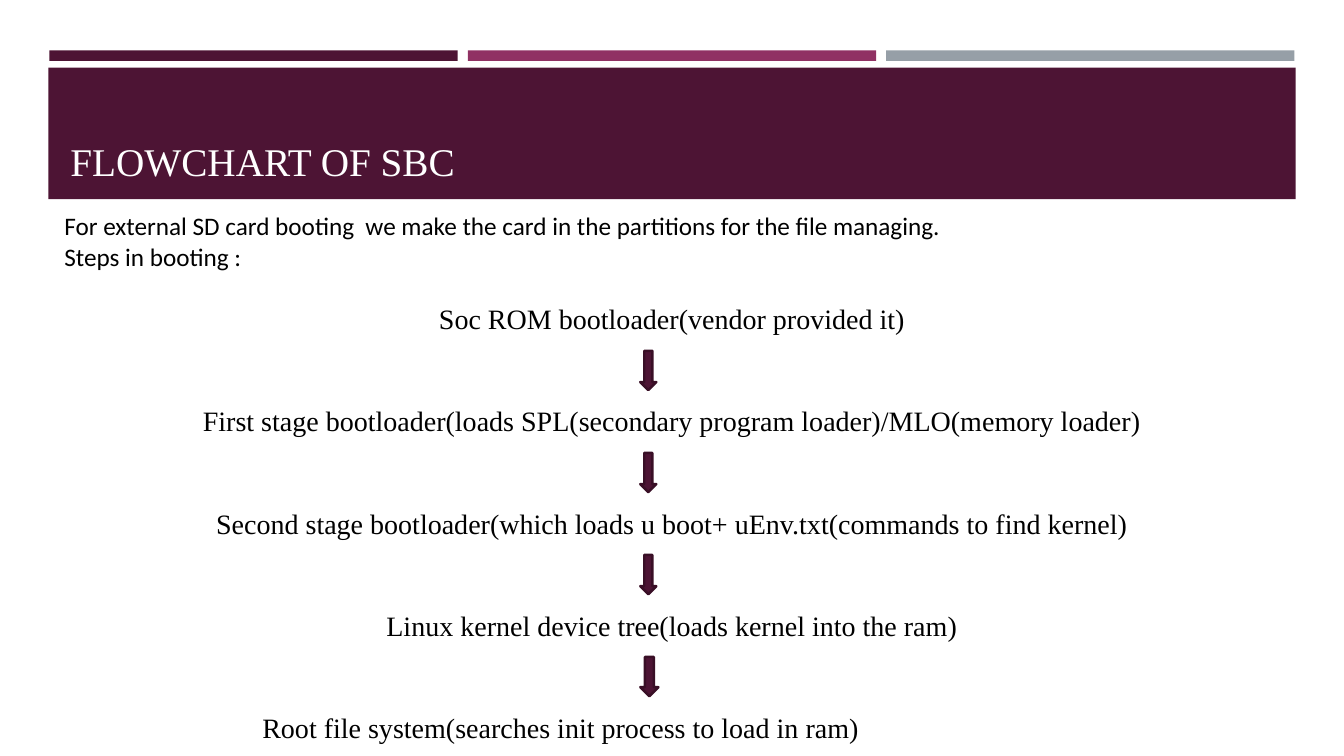
import dataclasses

import pptx
import pptx.dml.color
import pptx.enum.shapes
import pptx.enum.text
import pptx.util

WIDE = pptx.util.Inches(13.33)
HIGH = pptx.util.Inches(7.5)
SHAPE = pptx.enum.shapes.MSO_SHAPE
ALIGN = pptx.enum.text.PP_ALIGN
ANCHOR = pptx.enum.text.MSO_ANCHOR
HUES = {
    "plum": "4D1434",
    "berry": "903163",
    "slate": "969FA7",
    "edge": "390F26",
    "white": "FFFFFF",
    "black": "000000",
}
SERIF = "Times New Roman"
SANS = "Calibri"


@dataclasses.dataclass
class Box:
    left: float
    top: float
    width: float
    height: float

    def place(self) -> tuple[int, int, int, int]:
        return (
            round(WIDE * self.left / 100),
            round(HIGH * self.top / 100),
            round(WIDE * self.width / 100),
            round(HIGH * self.height / 100),
        )


@dataclasses.dataclass
class Line:
    text: str
    font: str
    size: float
    hue: str = "black"
    align: ALIGN = ALIGN.LEFT
    gap: float = 0
    indent: float = 0


def tint(name: str) -> pptx.dml.color.RGBColor:
    return pptx.dml.color.RGBColor.from_string(HUES[name])


def draw(slide, kind: SHAPE, box: Box, fill: str, edge: str = "") -> None:
    shape = slide.shapes.add_shape(kind, *box.place())
    shape.shadow.inherit = False
    shape.fill.solid()
    shape.fill.fore_color.rgb = tint(fill)
    if edge:
        shape.line.color.rgb = tint(edge)
        shape.line.width = pptx.util.Pt(1.75)
    else:
        shape.line.fill.background()


def write(slide, box: Box, lines: list[Line], anchor: ANCHOR) -> None:
    frame = slide.shapes.add_textbox(*box.place()).text_frame
    frame.word_wrap = True
    frame.vertical_anchor = anchor
    for spot, line in enumerate(lines):
        para = frame.add_paragraph() if spot else frame.paragraphs[0]
        para.alignment = line.align
        if line.gap:
            para.space_before = pptx.util.Pt(line.gap)
        if line.indent:
            props = para._p.get_or_add_pPr()
            props.set("marL", str(round(WIDE * line.indent / 100)))
            props.set("indent", "0")
        run = para.add_run()
        run.text = line.text
        run.font.name = line.font
        run.font.size = pptx.util.Pt(line.size)
        run.font.color.rgb = tint(line.hue)


def main() -> None:
    deck = pptx.Presentation()
    deck.slide_width = WIDE
    deck.slide_height = HIGH
    slide = deck.slides.add_slide(deck.slide_layouts[6])

    for col, hue in enumerate(("plum", "berry", "slate")):
        draw(slide, SHAPE.RECTANGLE, Box(3.68 + 31.13 * col, 6.67, 30.38, 1.4), hue)
    draw(slide, SHAPE.RECTANGLE, Box(3.6, 8.93, 92.8, 17.4), "plum")

    title = Line("FLOWCHART OF SBC", SERIF, 28, "white")
    write(slide, Box(4.5, 17.47, 90.7, 7.6), [title], ANCHOR.BOTTOM)

    intro = (
        "For external SD card booting  we make the card in the partitions for the file managing.",
        "Steps in booting :",
    )
    steps = (
        "Soc ROM bootloader(vendor provided it)",
        "First stage bootloader(loads SPL(secondary program loader)/MLO(memory loader)",
        "Second stage bootloader(which loads u boot+ uEnv.txt(commands to find kernel)",
        "Linux kernel device tree(loads kernel into the ram)",
    )
    last = "Root file system(searches init process to load in ram)"
    lines = [Line(text, SANS, 18) for text in intro]
    for row, text in enumerate(steps):
        gap = 48.9 if row else 22
        lines.append(Line(text, SERIF, 20, align=ALIGN.CENTER, gap=gap))
    lines.append(Line(last, SERIF, 20, gap=48.9, indent=14.73))
    write(slide, Box(4.05, 27.2, 91.9, 75.87), lines, ANCHOR.TOP)

    for row, width in enumerate((1.2, 1.2, 1.2, 1.35)):
        box = Box(47.64, 46.4 + 13.5 * row, width, 5.2)
        draw(slide, SHAPE.DOWN_ARROW, box, "plum", "edge")

    deck.save("out.pptx")


if __name__ == "__main__":
    main()
